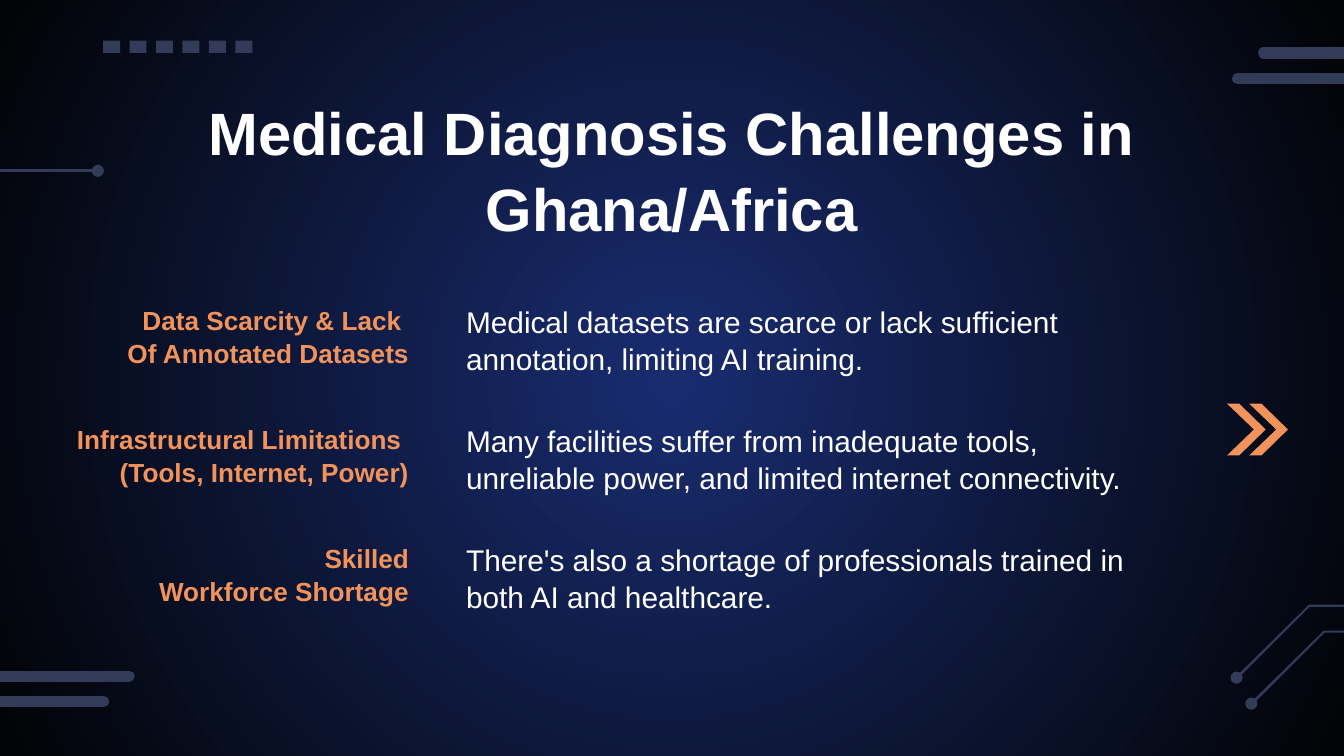
"""Build the slide on medical diagnosis challenges in Ghana and Africa."""
from lxml.etree import SubElement
from pptx import Presentation
from pptx.dml.color import RGBColor
from pptx.enum.shapes import MSO_CONNECTOR, MSO_SHAPE
from pptx.enum.text import MSO_ANCHOR, PP_ALIGN
from pptx.oxml.ns import qn
from pptx.util import Cm, Pt

TITLE = "Medical Diagnosis Challenges in Ghana/Africa"
CHALLENGES = [
    (0.89, ["Data Scarcity & Lack ", "Of Annotated Datasets"],
     "Medical datasets are scarce or lack sufficient annotation, limiting AI training."),
    (0, ["Infrastructural Limitations ", "(Tools, Internet, Power)"],
     "Many facilities suffer from inadequate tools, unreliable power, "
     "and limited internet connectivity."),
    (0.89, ["Skilled", "Workforce Shortage"],
     "There's also a shortage of professionals trained in both AI and healthcare."),
]
WHITE, ORANGE, SLATE = "FFFFFF", "F2935B", "323B58"
GLOW, EDGE = "192C70", "020305"

HEADING = {"font": {"name": "Arial", "size": Pt(32), "bold": True},
           "paragraph": {"alignment": PP_ALIGN.CENTER, "line_spacing": 1.05},
           "anchor": MSO_ANCHOR.TOP, "color": WHITE}
LABEL = {"font": {"name": "Arial", "size": Pt(14), "bold": True},
         "paragraph": {"alignment": PP_ALIGN.RIGHT, "line_spacing": 1.05},
         "anchor": MSO_ANCHOR.BOTTOM, "color": ORANGE}
DESCRIPTION = {"font": {"name": "Arial", "size": Pt(16), "bold": False},
               "paragraph": {"alignment": PP_ALIGN.LEFT, "line_spacing": 1.04},
               "anchor": MSO_ANCHOR.TOP, "color": WHITE}

ROW_TOP, ROW_PITCH, LABEL_RIGHT = 5.46, 2.25, 7.98
BARS = [(-1.98, 2.44, 12.78), (-2.44, 1.96, 13.26),
        (23.88, 28.27, 1.0), (23.39, 27.79, 1.49)]
LEFT_TRACE = [(-0.46, 3.2), (1.85, 3.2), (1.85, 3.25),
              (-0.46, 3.25), (-1.91, 4.7), (-1.95, 4.66)]
RIGHT_TRACE = [(23.39, 12.83), (23.36, 12.79), (24.74, 11.43),
               (27.49, 11.43), (27.49, 11.47), (24.75, 11.47)]
CHEVRON = [(23.42, 8.61), (23.19, 8.61), (23.7, 8.12),
           (23.19, 7.63), (23.42, 7.63), (23.92, 8.12)]
TRACES = [(LEFT_TRACE, 0, 0, (1.85, 3.23)),
          (RIGHT_TRACE, 0, 0, (23.37, 12.81)),
          (RIGHT_TRACE, 0.28, 0.49, (23.65, 13.3))]
DOT = 0.23


def rgb(value):
    return RGBColor.from_string(value)


def paint(shape, color):
    shape.shadow.inherit = False
    shape.fill.solid()
    shape.fill.fore_color.rgb = rgb(color)
    shape.line.fill.background()


def add_outline(slide, points, color, dx=0, dy=0):
    corners = [(Cm(x + dx), Cm(y + dy)) for x, y in points]
    builder = slide.shapes.build_freeform(*corners[0])
    builder.add_line_segments(corners[1:], close=True)
    paint(builder.convert_to_shape(), color)


def add_preset(slide, kind, left, top, width, height):
    paint(slide.shapes.add_shape(kind, Cm(left), Cm(top), Cm(width), Cm(height)), SLATE)


def add_bar(slide, start, end, y):
    bar = slide.shapes.add_connector(
        MSO_CONNECTOR.STRAIGHT, Cm(start), Cm(y), Cm(end), Cm(y))
    bar.line.color.rgb = rgb(SLATE)
    bar.line.width = Pt(6)
    properties = bar._element.spPr
    properties.find(qn("a:ln")).set("cap", "rnd")
    SubElement(properties, qn("a:effectLst"))


def add_text(slide, left, top, width, height, lines, style):
    frame = slide.shapes.add_textbox(Cm(left), Cm(top), Cm(width), Cm(height)).text_frame
    margins = {f"margin_{side}": Cm(0.25) for side in ("left", "right", "top", "bottom")}
    for name, value in {"word_wrap": True, "vertical_anchor": style["anchor"], **margins}.items():
        setattr(frame, name, value)
    frame.text = "\n".join(lines)
    for paragraph in frame.paragraphs:
        for target, values in ((paragraph, style["paragraph"]), (paragraph.font, style["font"])):
            for name, value in values.items():
                setattr(target, name, value)
        paragraph.font.color.rgb = rgb(style["color"])


def set_background(slide):
    fill = slide.background.fill
    fill.gradient()
    for stop, position, color in zip(fill.gradient_stops, (0, 1), (GLOW, EDGE)):
        stop.position = position
        stop.color.rgb = rgb(color)
    gradient = slide.background._cSld.find(".//" + qn("a:gradFill"))
    gradient.remove(gradient.find(qn("a:lin")))
    circle = SubElement(gradient, qn("a:path"), path="circle")
    SubElement(circle, qn("a:fillToRect"), {side: "50000" for side in "ltrb"})


def add_decoration(slide):
    for points, dx, dy, (x, y) in TRACES:
        add_outline(slide, points, SLATE, dx, dy)
        add_preset(slide, MSO_SHAPE.OVAL, x - DOT / 2, y - DOT / 2, DOT, DOT)
    for column in range(6):
        add_preset(slide, MSO_SHAPE.RECTANGLE, 1.95 + 0.5 * column, 0.77, 0.32, 0.23)
    for bar in BARS:
        add_bar(slide, *bar)
    for shift in (0, 0.42):
        add_outline(slide, CHEVRON, ORANGE, shift)


def main():
    deck = Presentation()
    deck.slide_width, deck.slide_height = Cm(25.4), Cm(14.29)
    slide = deck.slides.add_slide(deck.slide_layouts[6])
    set_background(slide)
    add_decoration(slide)
    add_text(slide, 2.54, 1.5, 20.32, 1.6, [TITLE], HEADING)
    for row, (left, label, description) in enumerate(CHALLENGES):
        top = ROW_TOP + ROW_PITCH * row
        add_text(slide, left, top + 0.41, LABEL_RIGHT - left, 1.35, label, LABEL)
        add_text(slide, 8.56, top, 13.77, 1.75, [description], DESCRIPTION)
    deck.save("out.pptx")


if __name__ == "__main__":
    main()
